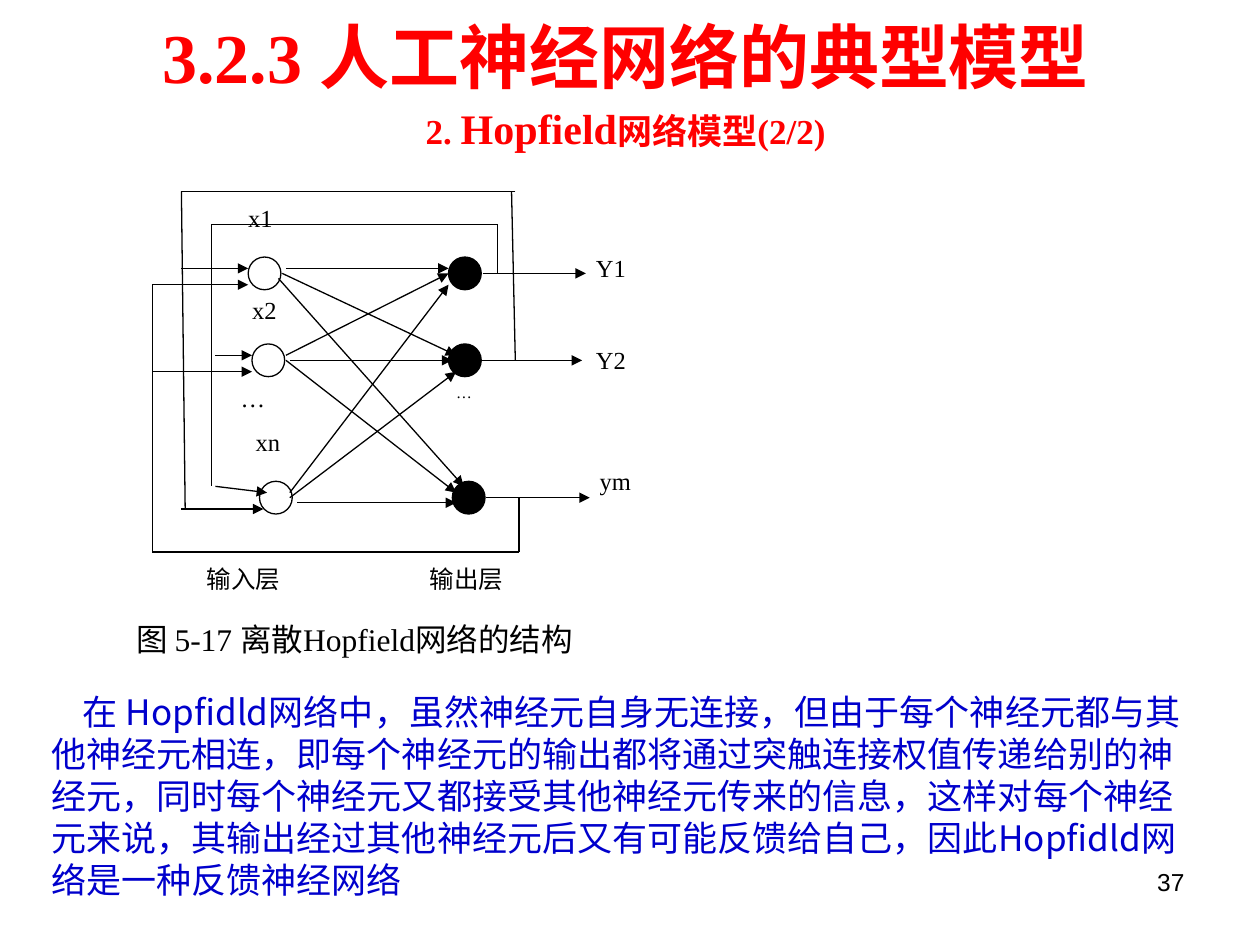
from dataclasses import dataclass

from lxml.etree import SubElement
from pptx import Presentation
from pptx.dml.color import RGBColor
from pptx.enum.shapes import MSO_CONNECTOR as Connector, MSO_SHAPE as Shape
from pptx.enum.text import MSO_ANCHOR as Anchor, MSO_AUTO_SIZE as AutoSize, PP_ALIGN as Align
from pptx.oxml.ns import qn
from pptx.util import Inches, Pt


@dataclass(frozen=True)
class Theme:
    black: RGBColor = RGBColor(0, 0, 0)
    white: RGBColor = RGBColor(255, 255, 255)
    title: RGBColor = RGBColor(255, 0, 0)
    body: RGBColor = RGBColor(0, 0, 204)
    serif: str = "Times New Roman"
    sans: str = "Arial"
    chinese: str = "Noto Sans CJK SC"
    title_size: int = 40
    highlight_size: int = 24
    body_size: int = 20
    caption_size: int = 18
    label_size: int = 14
    small_size: int = 9
    line_width: float = 0.75


theme = Theme()


def write(paragraph, text, size=theme.label_size, color=theme.black, font=theme.serif,
          bold=False, align=Align.LEFT, line_height=None):
    """Add one run; line_height is in points."""
    paragraph.alignment = align
    if line_height:
        paragraph.line_spacing = Pt(line_height)
    run = paragraph.add_run()
    run.text = text
    run.font.name, run.font.size, run.font.bold = font, Pt(size), bold
    run.font.color.rgb = color
    SubElement(run.font._element, qn("a:ea"), typeface=theme.chinese)


def set_frame(shape, inset_x=0.1, inset_y=0.05):
    frame = shape.text_frame
    frame.word_wrap, frame.auto_size = True, AutoSize.NONE
    frame.vertical_anchor = Anchor.TOP
    frame.margin_left = frame.margin_right = Inches(inset_x)
    frame.margin_top = frame.margin_bottom = Inches(inset_y)
    return frame


presentation = Presentation()
presentation.slide_width, presentation.slide_height = Inches(10), Inches(7.5)
slide = presentation.slides.add_slide(presentation.slide_layouts[5])
shapes = slide.shapes

# Title and subtitle
title = shapes.title
title.left, title.top, title.width, title.height = map(Inches, (0.87, 0, 8.19, 1.24))
frame = set_frame(title)
heading = dict(color=theme.title, bold=True, align=Align.CENTER)
write(frame.paragraphs[0], "3.2.3 人工神经网络的典型模型", size=theme.title_size,
      line_height=52, **heading)
subtitle = frame.add_paragraph()
subtitle.space_before = Pt(5)
for text, size in (("2. ", theme.body_size), ("Hopfield", theme.highlight_size),
                   ("网络模型(2/2)", theme.body_size)):
    write(subtitle, text, size=size, line_height=27, **heading)

# Labels: text, left, top, width, height, size, horizontal and vertical inset
labels = [
    ("x1", 1.97, 1.61, 0.33, 0.39, theme.label_size, 0, 0),
    ("x2", 2.00, 2.34, 0.32, 0.39, theme.label_size, 0, 0),
    ("…", 1.91, 3.04, 0.47, 0.35, theme.label_size, 0, 0),
    ("xn", 2.03, 3.39, 0.33, 0.39, theme.label_size, 0, 0),
    ("…", 3.62, 3.04, 0.47, 0.39, theme.small_size, 0, 0),
    ("Y1", 4.71, 2.00, 0.50, 0.43, theme.label_size, 0.02, 0.01),
    ("Y2", 4.71, 2.73, 0.50, 0.43, theme.label_size, 0.02, 0.01),
    ("ym", 4.74, 3.69, 0.50, 0.43, theme.label_size, 0.02, 0.01),
    ("输入层", 1.62, 4.47, 0.95, 0.47, theme.label_size, 0.02, 0.01),
    ("输出层", 3.39, 4.47, 0.95, 0.47, theme.label_size, 0.02, 0.01),
    ("图 5‑17 离散Hopfield网络的结构", 1.06, 4.91, 4.33, 0.48,
     theme.caption_size, 0.02, 0.01),
]
for text, left, top, width, height, size, inset_x, inset_y in labels:
    label = shapes.add_shape(Shape.RECTANGLE, *map(Inches, (left, top, width, height)))
    label.shadow.inherit = False
    label.fill.solid()
    label.fill.fore_color.rgb = theme.white
    label.line.fill.background()
    write(set_frame(label, inset_x, inset_y).paragraphs[0], text, size=size)

# Neurons: one row per input/output pair
neuron_size = 0.26
for input_left, output_left, top in ((1.97, 3.56, 2.04), (2.00, 3.56, 2.73), (2.06, 3.59, 3.82)):
    for left, color in ((input_left, theme.white), (output_left, theme.black)):
        neuron = shapes.add_shape(Shape.OVAL, Inches(left), Inches(top),
                                  Inches(neuron_size), Inches(neuron_size))
        neuron.shadow.inherit = False
        neuron.fill.solid()
        neuron.fill.fore_color.rgb = color
        neuron.line.color.rgb = theme.black
        neuron.line.width = Pt(theme.line_width)

# Connections: x and y of the start, x and y of the end
weights = [
    (2.27, 2.13, 3.56, 2.13), (2.24, 2.17, 3.62, 2.82), (2.21, 2.21, 3.68, 3.86),
    (2.27, 2.82, 3.56, 2.17), (2.30, 2.86, 3.59, 2.86), (2.27, 2.86, 3.62, 3.91),
    (2.30, 3.91, 3.56, 2.26), (2.30, 3.95, 3.62, 2.95), (2.36, 3.99, 3.62, 3.99),
]
outputs = [(3.83, 2.17, 4.65, 2.17), (3.80, 2.86, 4.62, 2.86), (3.86, 3.95, 4.68, 3.95)]
feedback_arrows = [
    (1.71, 3.86, 2.12, 3.91), (1.71, 2.82, 2.00, 2.82),
    (1.44, 4.04, 2.09, 4.04), (1.44, 2.13, 1.97, 2.13),
    (1.21, 2.26, 1.97, 2.26), (1.21, 2.95, 2.00, 2.95),
]
feedback_lines = [
    (3.95, 2.17, 3.95, 1.78), (3.95, 1.78, 1.68, 1.78), (1.68, 1.78, 1.68, 3.86),
    (4.09, 2.86, 4.06, 1.52), (4.09, 1.52, 1.44, 1.52), (1.44, 1.52, 1.47, 4.04),
    (4.12, 3.95, 4.12, 4.38), (4.12, 4.38, 1.21, 4.38), (1.21, 2.26, 1.21, 4.38),
]
for points, has_arrow in ((weights + outputs + feedback_arrows, True), (feedback_lines, False)):
    for ends in points:
        connector = shapes.add_connector(Connector.STRAIGHT, *map(Inches, ends))
        connector.line.color.rgb = theme.black
        connector.line.width = Pt(theme.line_width)
        if has_arrow:
            SubElement(connector.line._get_or_add_ln(), qn("a:tailEnd"), type="triangle")
        SubElement(connector._element.spPr, qn("a:effectLst"))

# Explanation
explanation = shapes.add_textbox(*map(Inches, (0.31, 5.43, 9.25, 1.77)))
paragraph = set_frame(explanation).paragraphs[0]
paragraph._p.get_or_add_pPr().set("indent", str(Inches(0.25)))
write(paragraph,
      "在 Hopfidld网络中，虽然神经元自身无连接，但由于每个神经元都与其他神经元相连，"
      "即每个神经元的输出都将通过突触连接权值传递给别的神经元，"
      "同时每个神经元又都接受其他神经元传来的信息，这样对每个神经元来说，"
      "其输出经过其他神经元后又有可能反馈给自己，因此Hopfidld网络是一种反馈神经网络",
      size=theme.body_size, color=theme.body, font=theme.chinese, line_height=24)

# Page number
page_number = shapes.add_textbox(*map(Inches, (7.17, 6.83, 2.33, 0.52)))
write(set_frame(page_number).paragraphs[0], "37", font=theme.sans, align=Align.RIGHT)

presentation.save("out.pptx")
